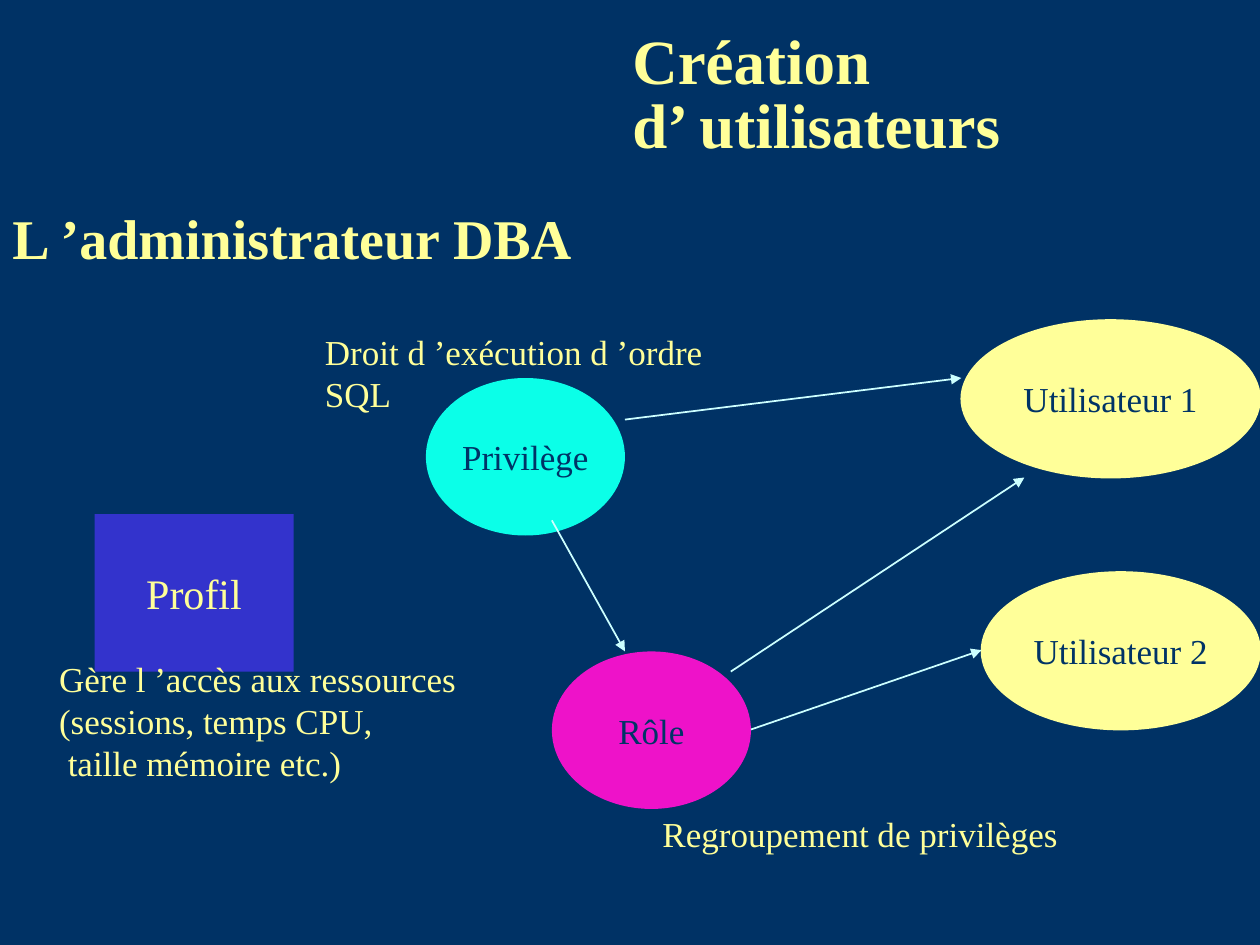
from dataclasses import dataclass

import pptx
import pptx.dml.color
import pptx.enum.shapes
import pptx.enum.text
import pptx.oxml.ns
import pptx.util
from pptx.util import Inches

SHAPE = pptx.enum.shapes.MSO_SHAPE
ALIGN = pptx.enum.text.PP_ALIGN
ANCHOR = pptx.enum.text.MSO_ANCHOR
GROW = pptx.enum.text.MSO_AUTO_SIZE.SHAPE_TO_FIT_TEXT


@dataclass(frozen=True)
class Theme:
    font: str = "Times New Roman"
    top: str = "003265"
    navy: str = "003366"
    yellow: str = "FFFF99"
    cyan: str = "0BFFE8"
    magenta: str = "EE12C9"
    blue: str = "3333CC"
    arrow: str = "CCFFFF"
    title: int = 36
    heading: int = 32
    box: int = 24
    body: int = 20


def color(value):
    return pptx.dml.color.RGBColor.from_string(value)


def apply(target, formats):
    for name, value in formats.items():
        setattr(target, name, value)


class SlideBuilder:
    def __init__(self, theme, page):
        self.theme = theme
        self.page = page

    def background(self):
        fill = self.page.background.fill
        fill.gradient()
        fill.gradient_angle = 270
        for stop, value in zip(fill.gradient_stops, (self.theme.top, self.theme.navy)):
            stop.color.rgb = color(value)

    def fill_text(self, shape, lines, size, ink, frame_format, para_format, bold=False):
        frame = shape.text_frame
        apply(frame, frame_format)
        frame.text = "\n".join(lines)
        for para in frame.paragraphs:
            apply(para, para_format)
            for span in para.runs:
                apply(span.font, {"name": self.theme.font, "size": pptx.util.Pt(size), "bold": bold})
                span.font.color.rgb = color(ink)

    def heading(self, text, size, place, anchor):
        box = self.page.shapes.add_textbox(*map(Inches, place))
        self.fill_text(box, [text], size, self.theme.yellow,
                       {"word_wrap": True, "vertical_anchor": anchor},
                       {"line_spacing": 0.85}, bold=True)

    def note(self, lines, place):
        box = self.page.shapes.add_textbox(*map(Inches, place))
        self.fill_text(box, lines, self.theme.body, self.theme.yellow,
                       {"word_wrap": False, "auto_size": GROW}, {"alignment": ALIGN.LEFT})

    def node(self, text, place, fill, kind=SHAPE.OVAL, size=None, ink=None, outlined=False):
        shape = self.page.shapes.add_shape(kind, *map(Inches, place))
        shape.shadow.inherit = False
        shape.fill.solid()
        shape.fill.fore_color.rgb = color(fill)
        if outlined:
            shape.line.color.rgb = color(fill)
            shape.line.width = pptx.util.Pt(1)
        else:
            shape.line.fill.background()
        self.fill_text(shape, [text], size or self.theme.body, ink or self.theme.navy,
                       {"word_wrap": False, "vertical_anchor": ANCHOR.MIDDLE},
                       {"alignment": ALIGN.CENTER})

    def arrow(self, start, end):
        link = self.page.shapes.add_connector(
            pptx.enum.shapes.MSO_CONNECTOR.STRAIGHT, *map(Inches, start + end))
        link.line.color.rgb = color(self.theme.arrow)
        link.line.width = pptx.util.Pt(1)
        properties = link._element.spPr
        outline = properties.find(pptx.oxml.ns.qn("a:ln"))
        tip = pptx.oxml.ns.qn("a:tailEnd")
        outline.append(outline.makeelement(tip, {"type": "triangle"}))
        properties.append(properties.makeelement(pptx.oxml.ns.qn("a:effectLst"), {}))


def main():
    theme = Theme()
    deck = pptx.Presentation()
    apply(deck, {"slide_width": Inches(10), "slide_height": Inches(7.5)})
    slide = SlideBuilder(theme, deck.slides.add_slide(deck.slide_layouts[6]))
    slide.background()

    # Headings
    slide.heading("Création \vd’ utilisateurs", theme.title, (4.92, 0.21, 4.51, 1.12), ANCHOR.MIDDLE)
    slide.heading("L ’administrateur DBA", theme.heading, (0, 1.65, 6.75, 0.91), ANCHOR.TOP)

    # Privilege, role and users
    width, height = 1.58, 1.25
    slide.node("Privilège", (3.38, 3, width, height), theme.cyan)
    slide.node("Rôle", (4.38, 5.17, width, height), theme.magenta)
    for number, (left, top) in enumerate([(7.63, 2.54), (7.79, 4.54)], start=1):
        slide.node(f"Utilisateur {number}", (left, top, 10 - left, height),
                   theme.yellow, outlined=True)

    # Grants
    for start, end in [
        ((4.96, 3.33), (7.63, 3)),
        ((4.38, 4.13), (4.96, 5.17)),
        ((5.96, 5.79), (7.79, 5.16)),
        ((5.8, 5.33), (8.13, 3.79)),
    ]:
        slide.arrow(start, end)

    # Profile
    slide.node("Profil", (0.75, 4.08, width, height), theme.blue,
               kind=SHAPE.RECTANGLE, size=theme.box, ink=theme.yellow)

    # Explanations
    slide.note(["Gère l ’accès aux ressources", "(sessions, temps CPU,", " taille mémoire etc.)"],
               (0.37, 5.17, 3.42, 1.1))
    slide.note(["Droit d ’exécution d ’ordre SQL"], (2.48, 2.57, 3.79, 0.44))
    slide.note(["Regroupement de privilèges"], (5.16, 6.4, 3.34, 0.44))

    deck.save("out.pptx")


if __name__ == "__main__":
    main()
